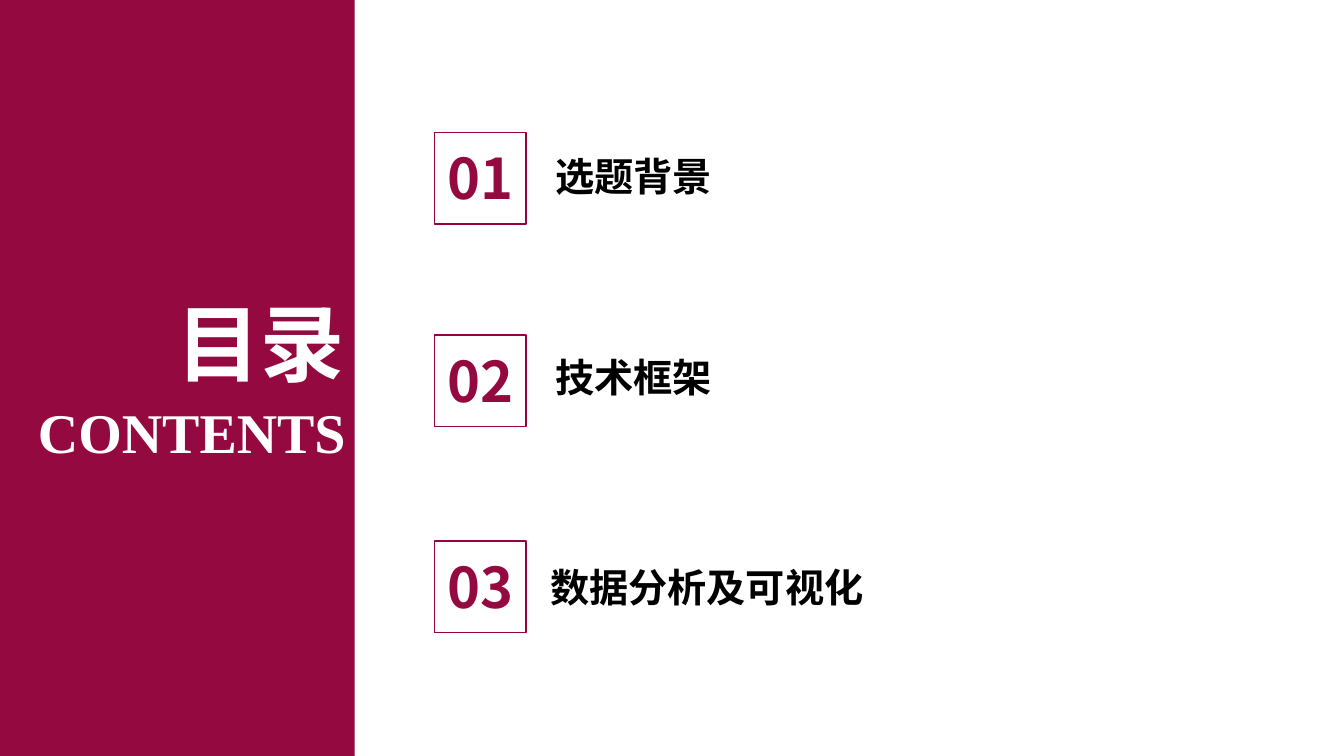
from dataclasses import dataclass

from lxml.etree import SubElement
from pptx import Presentation
from pptx.dml.color import RGBColor
from pptx.enum.shapes import MSO_SHAPE as Shape
from pptx.enum.text import MSO_AUTO_SIZE as AutoSize, PP_ALIGN as Align
from pptx.oxml.ns import qn
from pptx.util import Pt


@dataclass(frozen=True)
class Theme:
    """Colours, fonts and type sizes of the deck."""
    crimson: RGBColor = RGBColor.from_string("940A40")
    outline: RGBColor = RGBColor.from_string("970041")
    white: RGBColor = RGBColor.from_string("FFFFFF")
    black: RGBColor = RGBColor.from_string("000000")
    sans: str = "Noto Sans CJK SC"
    serif: str = "Times New Roman"
    title: int = 60
    display: int = 40
    label: int = 28


THEME = Theme()
SLIDE_WIDTH, SLIDE_HEIGHT = 960, 540
PANEL_WIDTH = 253.4
BADGE_LEFT, BADGE_SIZE = 310.3, 65.6
ENTRIES = [
    ("01", "选题背景", 94.5, (79.2, 10.6, 188.6)),
    ("02", "技术框架", 239.2, (79.2, 9.9, 188.6)),
    ("03", "数据分析及可视化", 386.4, (75.6, 12.5, 243.4)),
]


def add_text(page, box, text, size, color, font=THEME.sans, align=Align.LEFT):
    """Place one bold line of text in the given box."""
    frame = page.shapes.add_textbox(*map(Pt, box)).text_frame
    frame.text = text
    frame.word_wrap = True
    frame.auto_size = AutoSize.SHAPE_TO_FIT_TEXT
    para = frame.paragraphs[0]
    para.alignment = align
    span = para.runs[0]
    span.font.size = Pt(size)
    span.font.bold = True
    span.font.color.rgb = color
    span.font.name = font
    SubElement(span.font._element, qn("a:ea"), typeface=font)


def add_square(page, box):
    """Place a plain rectangle without shadow in the given box."""
    square = page.shapes.add_shape(Shape.RECTANGLE, *map(Pt, box))
    square.shadow.inherit = False
    return square


def add_title_panel(page, left, top, width, height):
    """Draw the coloured side panel with its two-language title."""
    panel = add_square(page, (left, top, width, height))
    panel.fill.solid()
    panel.fill.fore_color.rgb = THEME.crimson
    panel.line.fill.background()
    add_text(page, (left + 70.6, top + 204.5, width - 70.6, 80), "目录",
             THEME.title, THEME.white, align=Align.RIGHT)
    add_text(page, (left, top + 280.1, width + 0.6, 55.4), "CONTENTS",
             THEME.display, THEME.white, THEME.serif, Align.RIGHT)


def add_entry(page, left, top, size, number, label, label_box):
    """Draw a numbered badge and the chapter label beside it."""
    add_text(page, (left, top + 4.8, size, 55.4), number,
             THEME.display, THEME.crimson, align=Align.CENTER)
    badge = add_square(page, (left, top, size, size))
    badge.fill.background()
    badge.line.color.rgb = THEME.outline
    badge.line.width = Pt(1)
    shift, drop, width = label_box
    add_text(page, (left + shift, top + drop, width, 41), label,
             THEME.label, THEME.black)


def main():
    """Build the contents slide and save the deck."""
    deck = Presentation()
    deck.slide_width, deck.slide_height = Pt(SLIDE_WIDTH), Pt(SLIDE_HEIGHT)
    page = deck.slides.add_slide(deck.slide_layouts[6])
    add_title_panel(page, 0, 0, PANEL_WIDTH, SLIDE_HEIGHT)
    for number, label, top, label_box in ENTRIES:
        add_entry(page, BADGE_LEFT, top, BADGE_SIZE, number, label, label_box)
    deck.save("out.pptx")


if __name__ == "__main__":
    main()
